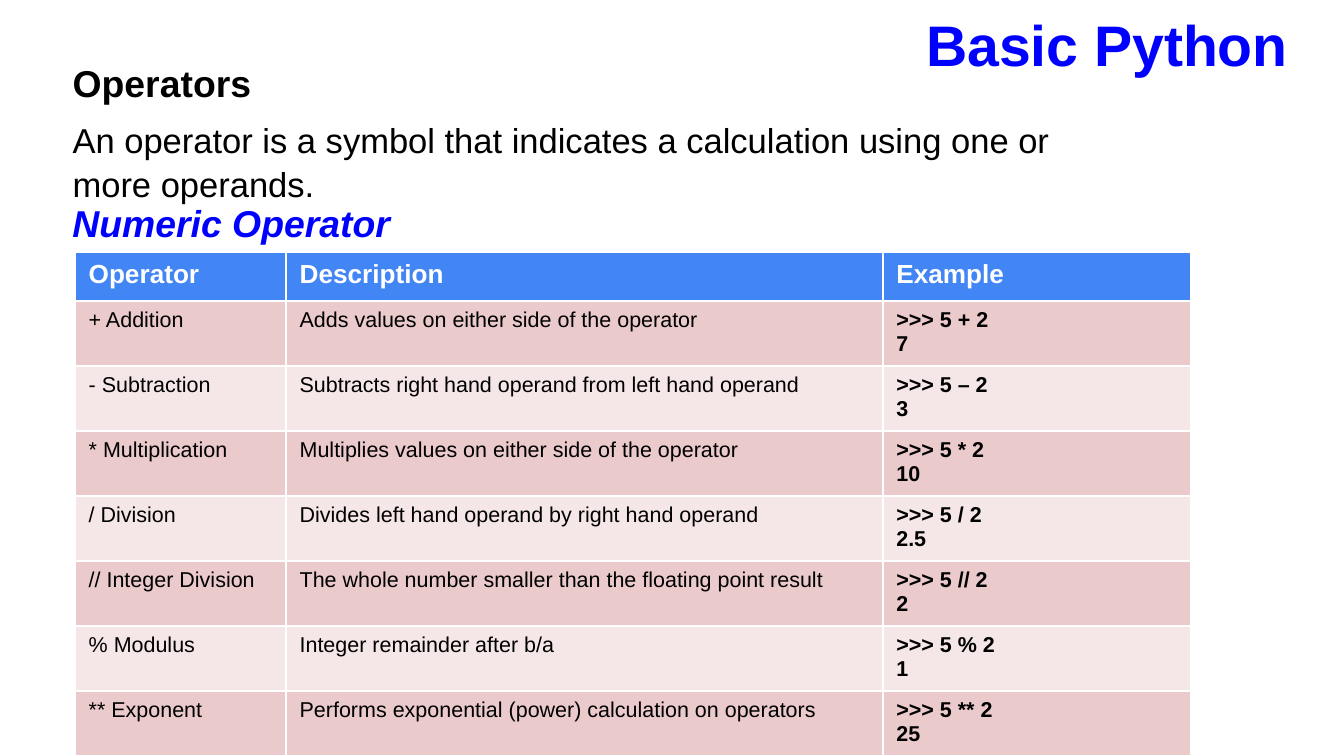
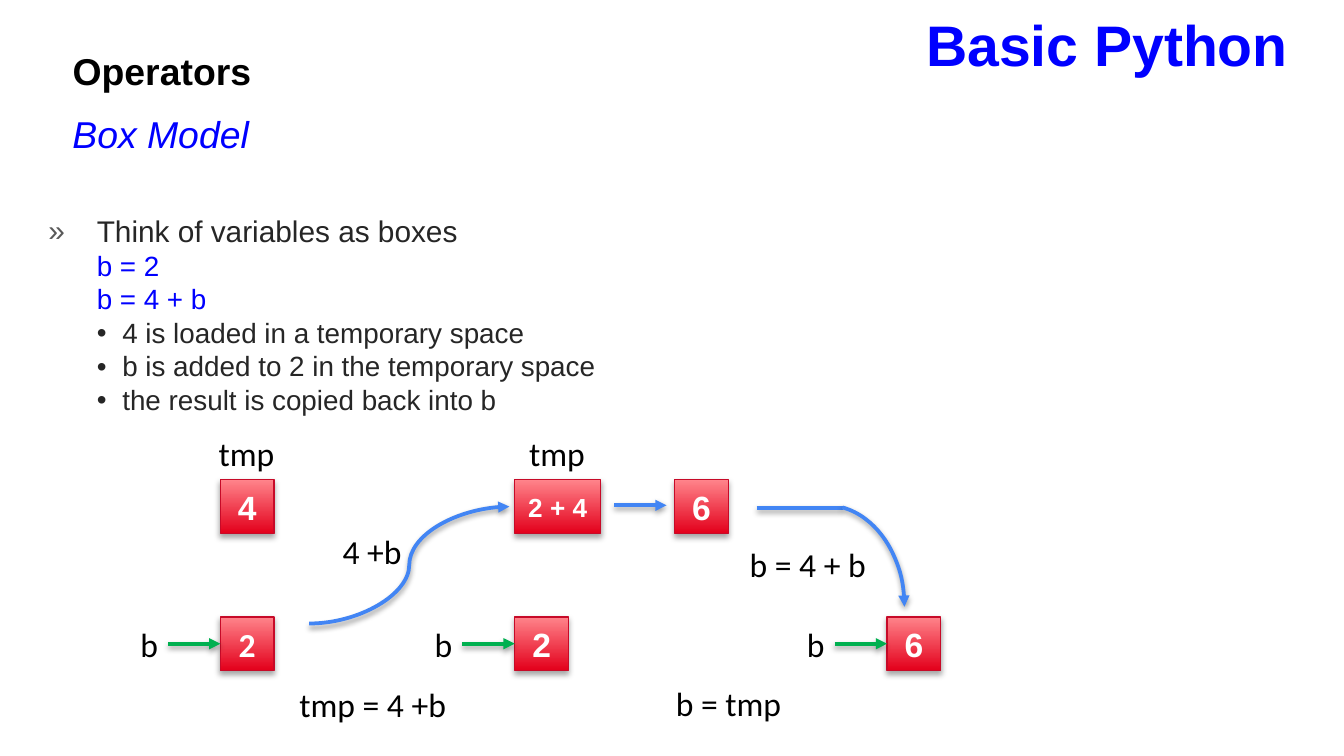
import pptx
import pptx.util
import pptx.dml.color
import pptx.enum.shapes
import pptx.enum.text
import pptx.oxml.ns
from lxml import etree

Inches, Pt = pptx.util.Inches, pptx.util.Pt
SHAPE = pptx.enum.shapes.MSO_SHAPE
LINK = pptx.enum.shapes.MSO_CONNECTOR
ALIGN = pptx.enum.text.PP_ALIGN
ANCHOR = pptx.enum.text.MSO_ANCHOR
qn = pptx.oxml.ns.qn

HUES = {
    "ink": "000000", "blue": "0000FF", "white": "FFFFFF", "text": "262626",
    "mark": "595959", "head": "4285F4", "odd": "EBCACC", "even": "F5E6E7",
    "dark": "E3001B", "light": "FF848B", "edge": "C70A28", "green": "00B050",
}

TITLE = "Basic Python"
TOPIC = "Operators"

# Slide 1
INTRO = ("An operator is a symbol that indicates a calculation "
         "using one or more operands.")
KIND = "Numeric Operator"
HEADS = ("Operator", "Description", "Example")
WIDTHS = (1.57, 4.44, 2.29)
ROW = 0.36
ROWS = [
    ("+ Addition", "Adds values on either side of the operator", (">>> 5 + 2", "7")),
    ("- Subtraction", "Subtracts right hand operand from left hand operand",
     (">>> 5 – 2", "3")),
    ("* Multiplication", "Multiplies values on either side of the operator",
     (">>> 5 * 2", "10")),
    ("/ Division", "Divides left hand operand by right hand operand",
     (">>> 5 / 2", "2.5")),
    ("// Integer Division", "The whole number smaller than the floating point result",
     (">>> 5 // 2", "2")),
    ("% Modulus", "Integer remainder after b/a", (">>> 5 % 2", "1")),
    ("** Exponent", "Performs exponential (power) calculation on operators",
     (">>> 5 ** 2", "25")),
]

# Slide 2
MODEL = "Box Model"
STYLES = {  # size, colour, left margin, first indent, bullet, bullet colour
    "lead": (16, "text", 0.38, -0.36, "»", "mark"),
    "code": (14.9, "blue", 0, 0.38, None, None),
    "step": (14.9, "text", 0.57, -0.19, "•", "text"),
}
NOTES = [
    ("lead", "Think of variables as boxes"),
    ("code", "b = 2"),
    ("code", "b = 4 + b"),
    ("step", "4 is loaded in a temporary space"),
    ("step", "b is added to 2 in the temporary space"),
    ("step", "the result is copied back into b"),
]
SIDE = 0.4
UPPER, LOWER = 3.57, 4.59
TEMPS = [  # left, width, value, size, label above
    (1.64, SIDE, "4", 18, "tmp"),
    (3.83, 0.64, "2 + 4", 14, "tmp"),
    (5.02, SIDE, "6", 18, None),
]
VARS = [(1.64, "2", "Calibri"), (3.83, "2", "Arial"), (6.6, "6", "Arial")]
LABELS = [
    (2.45, 3.9, 0.71, "4 +b"),
    (5.48, 4, 1.09, "b = 4 + b"),
    (2.13, 5.04, 1.57, "tmp = 4 +b"),
    (4.93, 5.03, 1.09, "b = tmp"),
]


def rgb(name):
    return pptx.dml.color.RGBColor.from_string(HUES[name])


def spot(*lengths):
    return [Inches(n) for n in lengths]


def add(parent, tag, **attrs):
    return etree.SubElement(parent, qn(tag), {k: str(v) for k, v in attrs.items()})


def write(para, text, size, hue="ink", face="Arial", bold=False, slant=False,
          space=None, after=None, before=0, align=None):
    run = para.add_run()
    run.text = text
    font = run.font
    font.size, font.name = Pt(size), face
    font.bold, font.italic = bold, slant
    font.color.rgb = rgb(hue)
    para.space_before = Pt(before)
    if space:
        para.line_spacing = space
    if after:
        para.space_after = Pt(after)
    if align:
        para.alignment = align


def indent(para, left=0, first=0, mark=None, hue=None):
    """Set the margins and the bullet of a paragraph."""
    ppr = para._p.get_or_add_pPr()
    ppr.set("marL", str(Inches(left)))
    ppr.set("indent", str(Inches(first)))
    if mark:
        add(add(ppr, "a:buClr"), "a:srgbClr", val=HUES[hue])
        add(ppr, "a:buChar", char=mark)
    else:
        add(ppr, "a:buNone")


def place(holder, *area):
    """Move a placeholder and return its first paragraph."""
    holder.left, holder.top, holder.width, holder.height = spot(*area)
    frame = holder.text_frame
    frame.word_wrap = True
    frame.auto_size = pptx.enum.text.MSO_AUTO_SIZE.NONE
    frame.vertical_anchor = ANCHOR.TOP
    return frame.paragraphs[0]


def label(slide, area, text, size=18, **look):
    box = slide.shapes.add_textbox(*spot(*area))
    box.text_frame.word_wrap = True
    write(box.text_frame.paragraphs[0], text, size, **look)


def start(prs, top):
    """Add a slide with the shared title and topic; return it and its body."""
    slide = prs.slides.add_slide(prs.slide_layouts[3])
    head, topic, body = slide.placeholders
    write(place(head, 6.79, 0.06, 3.17, 0.65), TITLE, 30.6, "blue",
          bold=True, space=0.95, align=ALIGN.LEFT)
    para = place(topic, 0.44, top, 2.03, 0.52)
    indent(para)
    write(para, TOPIC, 20, bold=True, space=1.15, after=12)
    return slide, body


def shade(shape, alpha, dist):
    props = shape._element.spPr
    effects = props.find(qn("a:effectLst"))
    if effects is None:
        effects = add(props, "a:effectLst")
    shadow = add(effects, "a:outerShdw", blurRad=Pt(3.1), dist=Pt(dist),
                 dir=5400000, rotWithShape=0)
    add(add(shadow, "a:srgbClr", val=HUES["ink"]), "a:alpha", val=alpha * 1000)


def ink(shape, hue, arrow=True):
    """Style a line or an arc, with its arrowhead and shadow."""
    shape.line.color.rgb = rgb(hue)
    shape.line.width = Pt(2)
    if arrow:
        add(shape._element.spPr.find(qn("a:ln")), "a:tailEnd", type="triangle")
    shade(shape, 38, 1.6)


def link(slide, ends, hue="head", kind=LINK.STRAIGHT, arrow=True, goal=None):
    line = slide.shapes.add_connector(kind, *spot(*ends))
    if goal is not None:
        line.end_connect(goal, 1)
    ink(line, hue, arrow)


def block(slide, left, top, wide, text, size=18, face="Arial"):
    box = slide.shapes.add_shape(SHAPE.RECTANGLE, *spot(left, top, wide, SIDE))
    box.fill.gradient()
    box.fill.gradient_angle = 90
    for stop, hue in zip(box.fill.gradient_stops, ("dark", "light")):
        stop.color.rgb = rgb(hue)
    box.line.color.rgb = rgb("edge")
    box.line.width = Pt(0.75)
    box.shadow.inherit = False
    shade(box, 35, 1.8)
    frame = box.text_frame
    frame.word_wrap = False
    frame.vertical_anchor = ANCHOR.MIDDLE
    write(frame.paragraphs[0], text, size, "white", face, True, align=ALIGN.CENTER)
    return box


def fill_cell(cell, row, lines, size, hue, bold):
    cell.fill.solid()
    cell.fill.fore_color.rgb = rgb("head" if row == 0 else "odd" if row % 2 else "even")
    frame = cell.text_frame
    for i, text in enumerate(lines):
        para = frame.add_paragraph() if i else frame.paragraphs[0]
        write(para, text, size, hue, bold=bold)


def list_ops(prs):
    slide, body = start(prs, 0.35)
    para = place(body, 0.44, 0.82, 8.21, 0.83)
    body.text_frame.margin_right = Inches(0.4)
    indent(para)
    write(para, INTRO, 18.5, space=1.05)
    label(slide, (0.44, 1.44, 3.23, 0.44), KIND, 20, hue="blue", bold=True, slant=True)
    count = len(ROWS) + 1
    grid = slide.shapes.add_table(
        count, len(HEADS), *spot(0.56, 1.88, sum(WIDTHS), ROW * count)).table
    for col, wide in zip(grid.columns, WIDTHS):
        col.width = Inches(wide)
    for c, text in enumerate(HEADS):
        fill_cell(grid.cell(0, c), 0, [text], 14, "white", True)
    for r, (name, about, demo) in enumerate(ROWS, 1):
        for c, lines in enumerate(([name], [about], demo)):
            fill_cell(grid.cell(r, c), r, lines, 11.5, "ink", c == 2)


def draw_model(prs):
    slide, body = start(prs, 0.26)
    label(slide, (0.44, 0.78, 1.53, 0.44), MODEL, 20, hue="blue", slant=True)
    para = place(body, 0.24, 1.55, 6.66, 1.86)
    for i, (style, text) in enumerate(NOTES):
        if i:
            para = body.text_frame.add_paragraph()
        size, hue, *edge = STYLES[style]
        indent(para, *edge)
        write(para, text, size, hue, space=0.95, before=1 if i else 0)

    plain = {"face": "Calibri", "align": ALIGN.CENTER}
    for left, wide, text, size, name in TEMPS:
        block(slide, left, UPPER, wide, text, size)
        if name:
            label(slide, (left + wide / 2 - 0.34, UPPER - SIDE, 0.67, SIDE),
                  name, **plain)
    mid = LOWER + SIDE / 2
    for left, text, face in VARS:
        box = block(slide, left, LOWER, SIDE, text, face=face)
        label(slide, (left - 0.81, LOWER, 0.56, SIDE), "b", **plain)
        link(slide, (left - 0.39, mid, left, mid), "green", goal=box)

    link(slide, (2.3, 4.64, 3.79, 3.77), kind=LINK.CURVE)
    link(slide, (4.57, 3.76, 4.96, 3.76))
    link(slide, (5.63, 3.78, 6.27, 3.78), arrow=False)
    arc = slide.shapes.add_shape(SHAPE.ARC, *spot(5.57, 3.76, 1.16, 1.51))
    arc.adjustments[0], arc.adjustments[1] = 167.45, 0
    arc.fill.background()
    arc.shadow.inherit = False
    ink(arc, "head")
    for left, top, wide, text in LABELS:
        label(slide, (left, top, wide, SIDE), text, face="Calibri")


def main():
    prs = pptx.Presentation()
    prs.slide_width = Inches(10)
    prs.slide_height = prs.slide_width * 9 // 16
    list_ops(prs)
    draw_model(prs)
    prs.save("out.pptx")


if __name__ == "__main__":
    main()
